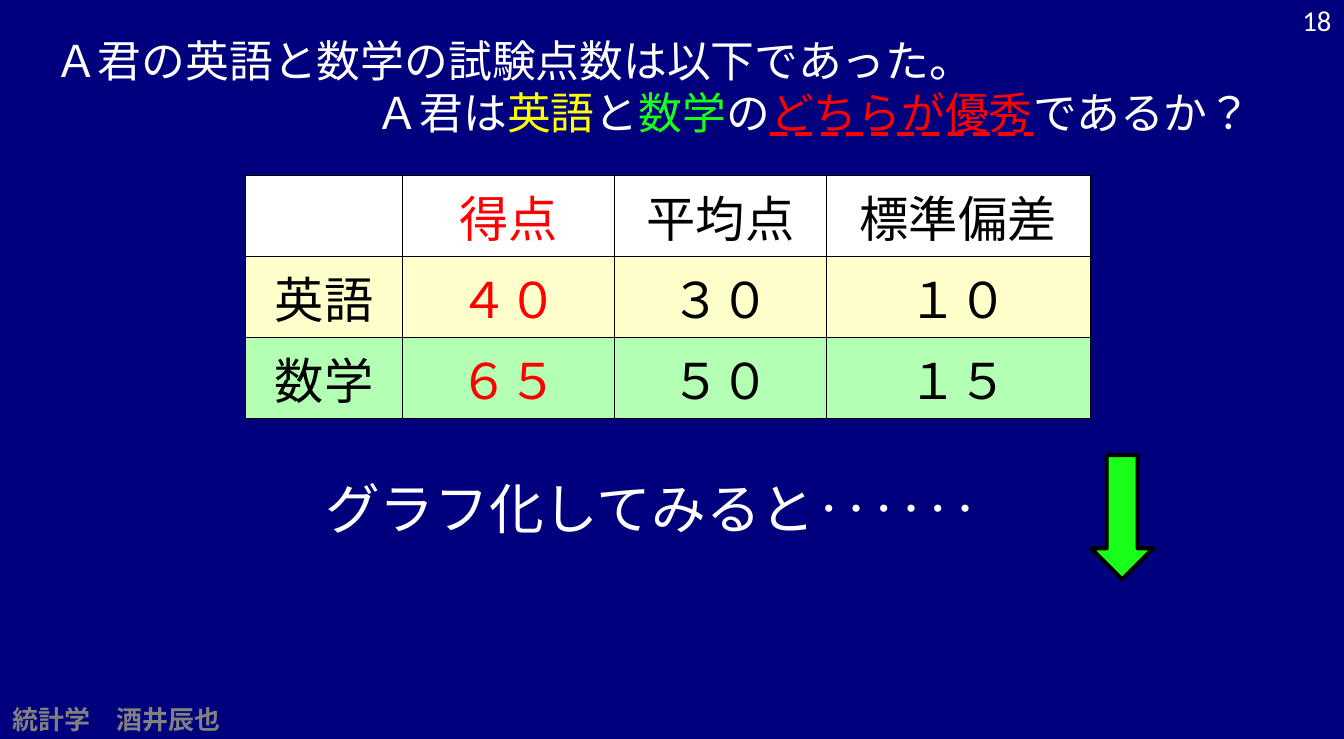
"""Build the slide comparing A's English and mathematics exam scores."""
from lxml.etree import SubElement
from pptx import Presentation
from pptx.dml.color import RGBColor
from pptx.enum.lang import MSO_LANGUAGE_ID as Lang
from pptx.enum.shapes import MSO_SHAPE as Shape
from pptx.enum.text import MSO_ANCHOR as Anchor, MSO_AUTO_SIZE as AutoSize
from pptx.enum.text import MSO_UNDERLINE as Underline, PP_ALIGN as Align
from pptx.oxml.ns import qn
from pptx.util import Emu, Pt

PX = 9144
LATIN, CJK = "Calibri", "Noto Sans CJK JP"
NAVY = RGBColor(0x00, 0x00, 0x7F)
WHITE = RGBColor(0xFF, 0xFF, 0xFF)
BLACK = RGBColor(0x00, 0x00, 0x00)
GRAY = RGBColor(0x80, 0x80, 0x80)
RED = RGBColor(0xFF, 0x00, 0x00)
YELLOW = RGBColor(0xFF, 0xFF, 0x00)
GREEN = RGBColor(0x1A, 0xFF, 0x1A)
CREAM = RGBColor(0xFF, 0xFF, 0xCC)
MINT = RGBColor(0xB3, 0xFF, 0xB3)


def add_run(paragraph, text, size, color, latin=LATIN, asian=LATIN):
    run = paragraph.add_run()
    run.text = text
    run.font.size = Pt(size)
    run.font.name = latin
    run.font.color.rgb = color
    run.font.language_id = Lang.JAPANESE
    SubElement(run.font._element, qn("a:ea"), typeface=asian)
    return run


def place(shape, left, top, width, height, anchor, inset_x=10, inset_y=5):
    shape.left, shape.top = left * PX, top * PX
    shape.width, shape.height = width * PX, height * PX
    frame = shape.text_frame
    frame.word_wrap = True
    frame.auto_size = AutoSize.NONE
    frame.vertical_anchor = anchor
    frame.margin_left = frame.margin_right = inset_x * PX
    frame.margin_top = frame.margin_bottom = inset_y * PX
    return frame


prs = Presentation()
prs.slide_width, prs.slide_height = Emu(12479338), 750 * PX
slide = prs.slides.add_slide(prs.slide_layouts[5])
slide.background.fill.solid()
slide.background.fill.fore_color.rgb = NAVY
shapes = slide.shapes

question = place(shapes.title, 45, 29, 1236, 118, Anchor.TOP)
premise = question.paragraphs[0]
premise.alignment = Align.LEFT
add_run(premise, "Ａ君の英語と数学の試験点数は以下であった。", 32, WHITE)
asked = question.add_paragraph()
asked.alignment = Align.RIGHT
for text, color in [
    ("Ａ君は", WHITE), ("英語", YELLOW), ("と", WHITE), ("数学", GREEN),
    ("の", WHITE), ("どちらが優秀", RED), ("であるか？", WHITE),
]:
    part = add_run(asked, text, 32, color)
    if color == RED:
        part.font.underline = Underline.DASH_LINE

page = place(shapes.add_textbox(0, 0, 0, 0), 1263, 0, 102, 40, Anchor.MIDDLE, 13, 7)
page.paragraphs[0].alignment = Align.RIGHT
add_run(page.paragraphs[0], "18", 21, WHITE)

course = place(shapes.add_textbox(0, 0, 0, 0), 0, 710, 306, 40, Anchor.MIDDLE, 13, 7)
add_run(course.paragraphs[0], "統計学　酒井辰也", 19, GRAY, CJK, CJK).font.bold = True

scores = [
    (WHITE, ["", "得点", "平均点", "標準偏差"]),
    (CREAM, ["英語", "４０", "３０", "１０"]),
    (MINT, ["数学", "６５", "５０", "１５"]),
]
col_widths = [160, 215, 215, 268]
row_height = 82
table = shapes.add_table(
    len(scores), len(col_widths), 249 * PX, 178 * PX,
    sum(col_widths) * PX, len(scores) * row_height * PX,
).table
table.first_row = table.horz_banding = False
for column, width in zip(table.columns, col_widths):
    column.width = width * PX
for r, (fill, texts) in enumerate(scores):
    table.rows[r].height = row_height * PX
    for c, text in enumerate(texts):
        cell = table.cell(r, c)
        props = cell._tc.get_or_add_tcPr()
        for side in ("a:lnL", "a:lnR", "a:lnT", "a:lnB"):
            border = SubElement(props, qn(side), w=str(Pt(1)))
            border_fill = SubElement(border, qn("a:solidFill"))
            SubElement(border_fill, qn("a:srgbClr"), val=str(BLACK))
        cell.fill.solid()
        cell.fill.fore_color.rgb = fill
        if text:
            entry = cell.text_frame.paragraphs[0]
            entry.alignment = Align.CENTER
            add_run(entry, text, 36, RED if c == 1 else BLACK, asian=CJK)

graph_lead = place(shapes.add_textbox(0, 0, 0, 0), 249, 477, 827, 77, Anchor.TOP)
graph_lead.paragraphs[0].alignment = Align.CENTER
add_run(graph_lead.paragraphs[0], "グラフ化してみると‥‥‥", 40, WHITE)

arrow = shapes.add_shape(Shape.DOWN_ARROW, 1108 * PX, 462 * PX, 63 * PX, 126 * PX)
arrow.shadow.inherit = False
arrow.fill.solid()
arrow.fill.fore_color.rgb = GREEN
arrow.line.color.rgb = BLACK
arrow.line.width = Pt(3)

prs.save("out.pptx")
